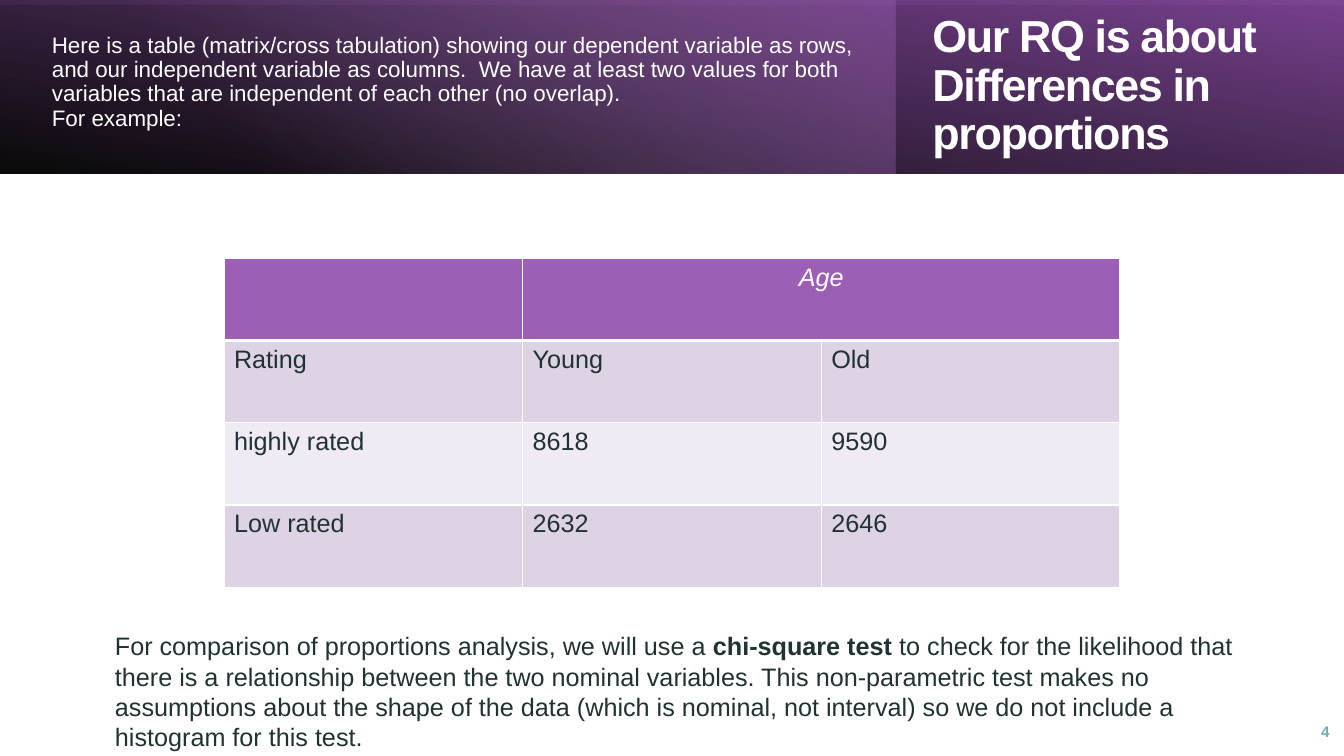
import pptx
import pptx.dml.color
import pptx.enum.shapes
import pptx.enum.text
import pptx.oxml
import pptx.oxml.ns
import pptx.util

Pt = pptx.util.Pt
ALIGN = pptx.enum.text.PP_ALIGN
ANCHOR = pptx.enum.text.MSO_ANCHOR
FONT = "Arial"
WHITE, BLACK, INK, TEAL = "FFFFFF", "000000", "203232", "7DABAB"
PURPLE, DEEP_PURPLE, LILAC = "9C5FB5", "77418E", "C49FD3"
BAND_DARK, BAND_LIGHT = "DED2E5", "EFEAF3"

INTRO = [
    "Here is a table (matrix/cross tabulation) showing our dependent variable as rows, "
    "and our independent variable as columns.  We have at least two values for both "
    "variables that are independent of each other (no overlap).",
    "For example:",
]
TITLE = "Our RQ is about Differences in proportions"
RATINGS = [
    ("Rating", "Young", "Old"),
    ("highly rated", "8618", "9590"),
    ("Low rated", "2632", "2646"),
]
CONCLUSION = [
    ("For comparison of proportions analysis, we will use a ", False),
    ("chi-square test ", True),
    ("to check for the likelihood that there is a relationship between the two nominal "
     "variables. This non-parametric test makes no assumptions about the shape of the data "
     "(which is nominal, not interval) so we do not include a histogram for this test.", False),
]


def rgb(hex_color):
    return pptx.dml.color.RGBColor.from_string(hex_color)


def style(paragraph, size, color, bold=False, italic=False, align=ALIGN.LEFT):
    font = paragraph.font
    font.name, font.size, font.bold, font.italic = FONT, Pt(size), bold, italic
    font.color.rgb = rgb(color)
    paragraph.alignment = align


def text_frame(slide, left, top, width, height, anchor=ANCHOR.MIDDLE):
    frame = slide.shapes.add_textbox(Pt(left), Pt(top), Pt(width), Pt(height)).text_frame
    frame.word_wrap = True
    frame.vertical_anchor = anchor
    return frame


def gradient_band(slide, left, top, width, height, stops, angle):
    """Draw a borderless rectangle; stops are (position %, colour, opacity %), angle is clockwise."""
    band = slide.shapes.add_shape(pptx.enum.shapes.MSO_SHAPE.RECTANGLE,
                                  Pt(left), Pt(top), Pt(width), Pt(height))
    band.shadow.inherit = False
    band.line.fill.background()
    band.fill.gradient()
    band.fill.gradient_angle = 360 - angle
    for stop, (position, color, opacity) in zip(band.fill.gradient_stops, stops):
        stop.position = position / 100
        stop.color.rgb = rgb(color)
        color_xml = stop._gs.find(pptx.oxml.ns.qn("a:srgbClr"))
        alpha = pptx.oxml.parse_xml(
            f'<a:alpha {pptx.oxml.ns.nsdecls("a")} val="{opacity * 1000}"/>')
        color_xml.append(alpha)


def header(slide, left, top, width, height):
    gradient_band(slide, left, top, width, height,
                  [(0, BLACK, 96), (100, DEEP_PURPLE, 100)], 280)
    gradient_band(slide, left, top, width * 2 / 3, height,
                  [(26, LILAC, 0), (100, PURPLE, 41)], 320)
    gradient_band(slide, left, top, width, height,
                  [(22, PURPLE, 15), (100, BLACK, 63)], 100)

    intro = text_frame(slide, left + 30, top + 9.5, 593, height - 15)
    intro.margin_bottom = Pt(13.6)
    intro.text = "\n".join(INTRO)
    for paragraph in intro.paragraphs:
        style(paragraph, 16, WHITE)
        paragraph.line_spacing = 0.9

    title = text_frame(slide, left + 659, top + 27.5, 255, 69).paragraphs[0]
    title.text = TITLE
    style(title, 32, WHITE, bold=True)
    title.line_spacing = 0.9
    title.runs[0]._r.get_or_add_rPr().set("spc", "-100")


def cell_borders(cell, **widths):
    properties = cell._tc.get_or_add_tcPr()
    for index, side in enumerate("LRTB"):
        border = pptx.oxml.parse_xml(
            f'<a:ln{side} {pptx.oxml.ns.nsdecls("a")} w="{Pt(widths.get(side, 1))}">'
            f'<a:solidFill><a:srgbClr val="{WHITE}"/></a:solidFill></a:ln{side}>')
        properties.insert(index, border)


def fill_cell(cell, text, fill, color, **look):
    cell.fill.solid()
    cell.fill.fore_color.rgb = rgb(fill)
    cell.text = text
    style(cell.text_frame.paragraphs[0], 18, color, **look)


def ratings_table(slide, left, top, width, height):
    table = slide.shapes.add_table(len(RATINGS) + 1, 3, Pt(left), Pt(top),
                                   Pt(width), Pt(height)).table
    table.cell(0, 1).merge(table.cell(0, 2))
    for column, text in enumerate(("", "Age", "")):
        cell = table.cell(0, column)
        fill_cell(cell, text, PURPLE, WHITE, italic=True, align=ALIGN.CENTER)
        cell_borders(cell, B=3)
    for row, values in enumerate(RATINGS, start=1):
        for column, text in enumerate(values):
            cell = table.cell(row, column)
            fill_cell(cell, text, BAND_DARK if row % 2 else BAND_LIGHT, INK)
            cell_borders(cell, T=3 if row == 1 else 1)


def conclusion(slide, left, top, width, height):
    paragraph = text_frame(slide, left, top, width, height, ANCHOR.TOP).paragraphs[0]
    style(paragraph, 18, INK)
    for text, bold in CONCLUSION:
        run = paragraph.add_run()
        run.text = text
        run.font.bold = bold


def slide_number(slide, left, top, width, height):
    paragraph = text_frame(slide, left, top, width, height).paragraphs[0]
    paragraph.text = "4"
    style(paragraph, 11, TEAL, bold=True, align=ALIGN.RIGHT)
    paragraph.space_after = Pt(6)


def main():
    deck = pptx.Presentation()
    deck.slide_width, deck.slide_height = Pt(960), Pt(540)
    slide = deck.slides.add_slide(deck.slide_layouts[6])
    header(slide, 0, 0, 960, 124)
    slide_number(slide, 921.5, 508, 35.5, 29)
    conclusion(slide, 75, 447, 838, 93)
    ratings_table(slide, 160, 184.5, 640, 235)
    deck.save("out.pptx")


if __name__ == "__main__":
    main()
